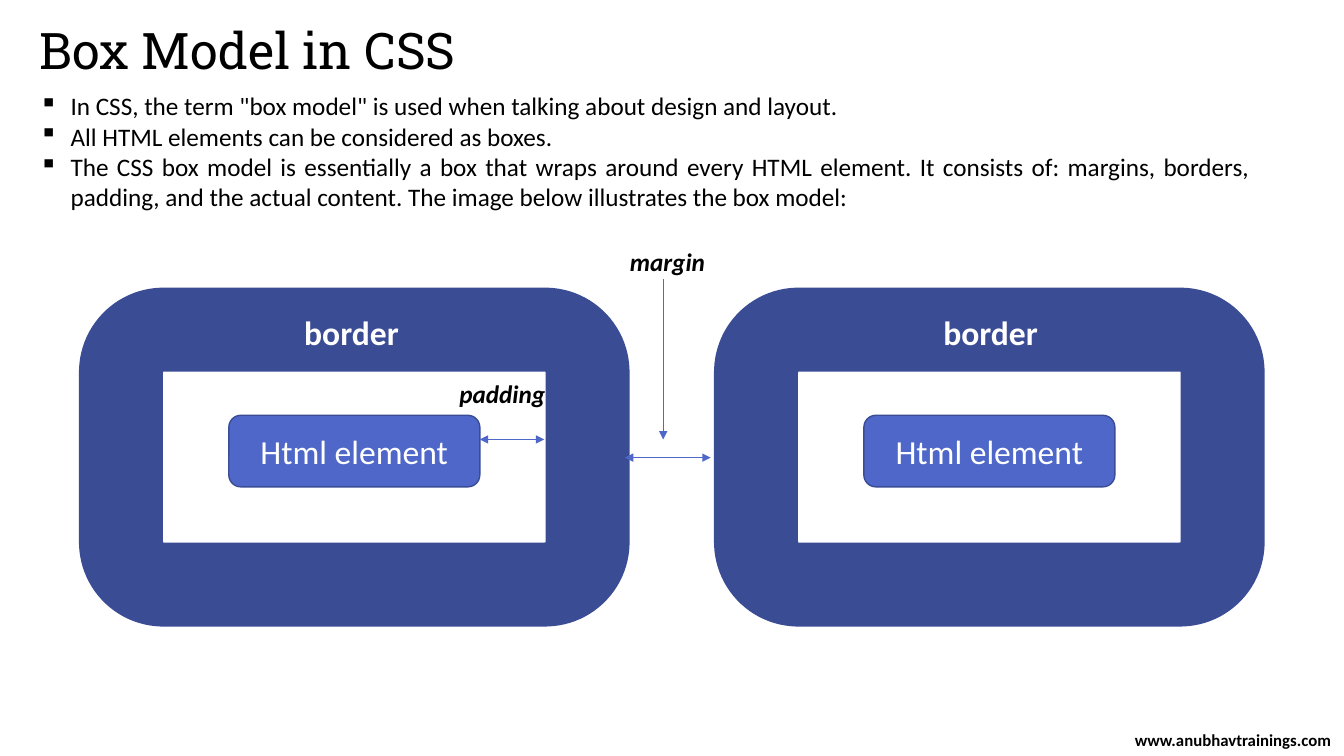
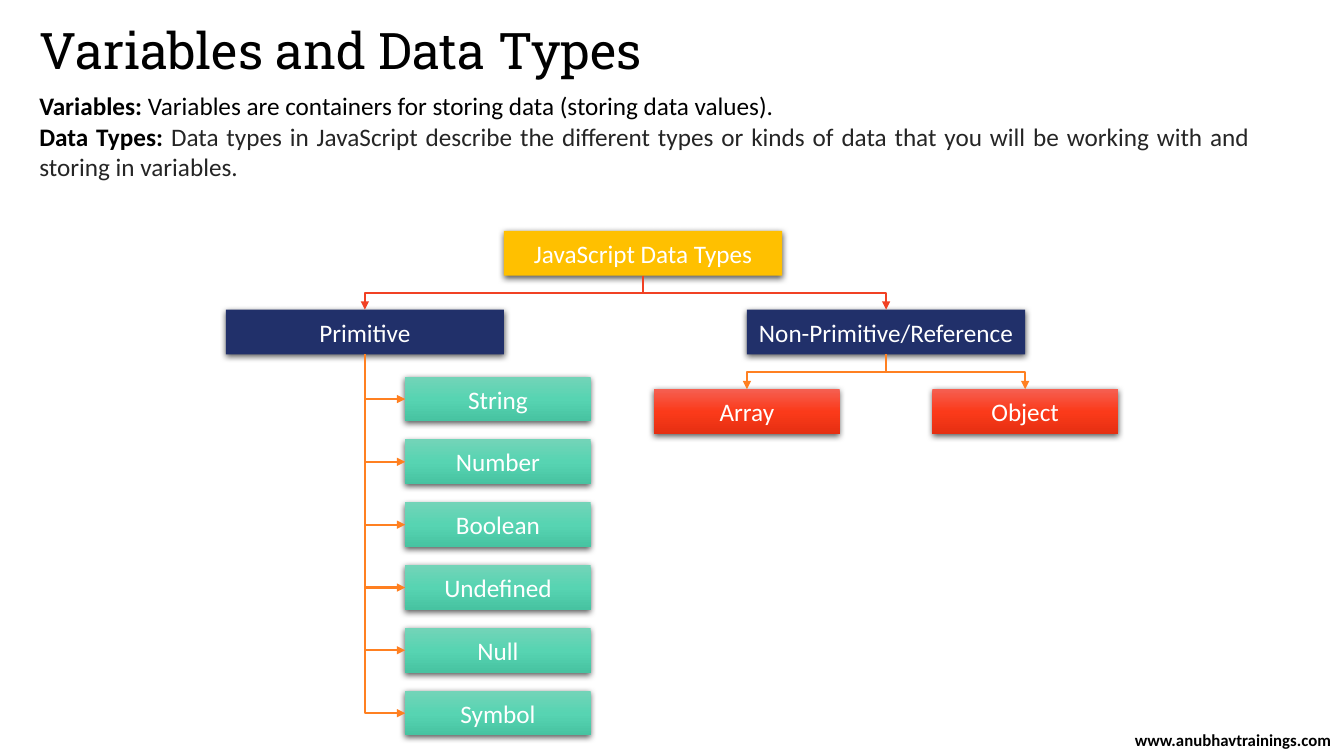
from copy import deepcopy

from lxml import etree
from pptx import Presentation, util as u
from pptx.dml.color import RGBColor
from pptx.enum import shapes, text
from pptx.oxml.ns import qn

COLUMNS, ROWS = 160, 90
CELL = u.Inches(13.33333) // COLUMNS
COLORS = {
    "ink": "000000", "soft_ink": "252525", "white": "FFFFFF",
    "element": "4E67C8", "border": "3A4C94",
    "root": "FFC000", "branch": "21306A",
    "root_link": "F14124", "leaf_link": "FF8021",
}
GRADIENTS = {
    "primitive": ("73D4B8", "57D4B2", "47C3A1"),
    "reference": ("F55F51", "FB3A1A", "E52F11"),
}
BODY_FONT, TITLE_FONT = "Calibri", "Roboto Slab"
TITLE_BOX = (3.5, 2.5, 146.5, 7.8)
BODY_BOX = (3.5, 10.2, 146.5, 15.7)
FOOTER_BOX = (133.6, 87.1, 26.4, 1.92)
NODE_WIDTH, LEAF_WIDTH, NODE_HEIGHT = 33.12, 22.08, 5.33
PRIMITIVES = ("String", "Number", "Boolean", "Undefined", "Null", "Symbol")


def cells(*lengths):
    """Turn grid cells into slide lengths."""
    return [u.Emu(round(length * CELL)) for length in lengths]


def rgb(name):
    """Look up a named colour."""
    return RGBColor.from_string(COLORS[name])


def child(parent, tag, **attributes):
    """Append an XML element with its attributes."""
    return etree.SubElement(parent, qn(tag), attributes)


def add_run(paragraph, words, size=18, color="ink", font=BODY_FONT, bold=False, italic=False):
    """Add one formatted run to a paragraph."""
    run = paragraph.add_run()
    run.text = words
    run.font.size, run.font.name = u.Pt(size), font
    run.font.bold, run.font.italic = bold, italic
    run.font.color.rgb = rgb(color)


def add_label(slide, box, words, align=None, middle=False, spacing=None, **style):
    """Place a one-paragraph text box."""
    frame = slide.shapes.add_textbox(*cells(*box)).text_frame
    frame.word_wrap = True
    frame.vertical_anchor = text.MSO_ANCHOR.MIDDLE if middle else text.MSO_ANCHOR.TOP
    paragraph = frame.paragraphs[0]
    paragraph.alignment, paragraph.line_spacing = align, spacing
    add_run(paragraph, words, **style)


def add_body(slide, paragraphs, bulleted=False):
    """Place justified paragraphs, each a list of (words, style) runs."""
    frame = slide.shapes.add_textbox(*cells(*BODY_BOX)).text_frame
    frame.word_wrap = True
    for index, runs in enumerate(paragraphs):
        paragraph = frame.add_paragraph() if index else frame.paragraphs[0]
        paragraph.alignment = text.PP_ALIGN.JUSTIFY
        if bulleted:
            properties = paragraph._p.get_or_add_pPr()
            indent = u.Inches(0.31)
            properties.set("marL", str(indent))
            properties.set("indent", str(-indent))
            child(properties, "a:buChar", char="▪")
        for words, style in runs:
            add_run(paragraph, words, **style)


def add_page(deck, title):
    """Start a slide with the shared title and footer."""
    slide = deck.slides.add_slide(deck.slide_layouts[6])
    add_label(slide, TITLE_BOX, title, spacing=0.9, size=36, font=TITLE_FONT)
    add_label(slide, FOOTER_BOX, "www.anubhavtrainings.com", text.PP_ALIGN.CENTER,
              middle=True, size=12, bold=True)
    return slide


def add_block(slide, kind, box, words="", fill=None, line=None, line_width=1, size=18):
    """Place a preset shape with centred white text."""
    block = slide.shapes.add_shape(kind, *cells(*box))
    block.shadow.inherit = False
    if fill:
        block.fill.solid()
        block.fill.fore_color.rgb = rgb(fill)
    else:
        block.fill.background()
    if line:
        block.line.color.rgb = rgb(line)
        block.line.width = u.Pt(line_width)
    else:
        block.line.fill.background()
    if words:
        frame = block.text_frame
        frame.word_wrap = False
        frame.vertical_anchor = text.MSO_ANCHOR.MIDDLE
        frame.paragraphs[0].alignment = text.PP_ALIGN.CENTER
        add_run(frame.paragraphs[0], words, size, "white")
    return block


def style_link(link, color, width, both_ends=False):
    """Colour a connector and give it arrowheads."""
    link.line.color.rgb = rgb(color)
    link.line.width = u.Pt(width)
    outline = link._element.spPr.find(qn("a:ln"))
    if both_ends:
        child(outline, "a:headEnd", type="triangle")
    child(outline, "a:tailEnd", type="triangle")
    child(link._element.spPr, "a:effectLst")


def add_arrow(slide, start, end, both_ends=False):
    """Draw a thin straight arrow."""
    arrow = slide.shapes.add_connector(shapes.MSO_CONNECTOR.STRAIGHT, *cells(*start, *end))
    style_link(arrow, "element", 0.5, both_ends)


def add_box_model(slide, left, top, label_offset):
    """Draw an element inside its border, relative to the border's corner."""
    rounded = shapes.MSO_SHAPE.ROUNDED_RECTANGLE
    add_block(slide, rounded, (left + 12.84, top + 10.2, 29.88, 8.52), "Html element",
              fill="element", line="border", size=24)
    add_block(slide, rounded, (left, top, 55.56, 30.36), line="border", line_width=60)
    add_label(slide, (left + label_offset, top - 2.64, 18.84, 5), "border",
              size=24, color="white", bold=True)


def add_node(slide, box, words, fill=None, gradient=None):
    """Place a tree node with a soft shadow."""
    node = add_block(slide, shapes.MSO_SHAPE.RECTANGLE, box, words, fill)
    if gradient:
        node.fill.gradient()
        node.fill.gradient_angle = 270
        stop_list = node._element.spPr.find(".//" + qn("a:gsLst"))
        stop_list.append(deepcopy(stop_list[-1]))
        stops = zip(node.fill.gradient_stops, (0, 0.5, 1), GRADIENTS[gradient])
        for stop, position, color in stops:
            stop.position = position
            stop.color.rgb = RGBColor.from_string(color)
    effects = node._element.spPr.find(qn("a:effectLst"))
    shadow = child(effects, "a:outerShdw", blurRad=str(u.Pt(4.5)), dist=str(u.Pt(1.5)),
                   dir="5400000", algn="ctr", rotWithShape="0")
    child(child(shadow, "a:srgbClr", val=COLORS["ink"]), "a:alpha", val="63000")
    return node


def add_bend(slide, parent, node, color, side_entry=False):
    """Link a parent's bottom to a node's top or left side, leaving downwards."""
    bend = slide.shapes.add_connector(shapes.MSO_CONNECTOR.ELBOW, 0, 0, 0, 0)
    bend.begin_connect(parent, 2)
    bend.end_connect(node, 1 if side_entry else 0)
    across, down = bend.end_x - bend.begin_x, bend.end_y - bend.begin_y
    middle_x, middle_y = bend.begin_x + across // 2, bend.begin_y + down // 2
    bend.width, bend.height = down, abs(across)
    bend.left, bend.top = middle_x - down // 2, middle_y - abs(across) // 2
    frame = bend._element.spPr.find(qn("a:xfrm"))
    for flip in ("flipH", "flipV"):
        frame.attrib.pop(flip, None)
    frame.set("rot", "16200000" if across > 0 else "5400000")
    if across > 0:
        frame.set("flipH", "1")
    if side_entry:
        bend._element.spPr.find(qn("a:prstGeom")).set("prst", "bentConnector2")
    style_link(bend, color, 1.5)


def add_type_tree(slide, left, top):
    """Draw the tree of data types from its top left corner."""
    def node(x, y, width, *content, **look):
        """Place a node relative to the tree."""
        return add_node(slide, (left + x, top + y, width, NODE_HEIGHT), *content, **look)

    reference_left = 62.04
    root = node(NODE_WIDTH, 0, NODE_WIDTH, "JavaScript Data Types", fill="root")
    primitive = node(0, 9.36, NODE_WIDTH, "Primitive", fill="branch")
    reference = node(reference_left, 9.36, NODE_WIDTH, "Non-Primitive/Reference", fill="branch")
    for branch in (primitive, reference):
        add_bend(slide, root, branch, "root_link")
    for row, words in enumerate(PRIMITIVES):
        leaf = node(21.36, 17.34 + row * 7.48, LEAF_WIDTH, words, gradient="primitive")
        add_bend(slide, primitive, leaf, "leaf_link", side_entry=True)
    for column, words in enumerate(("Array", "Object")):
        leaf_left = reference_left - LEAF_WIDTH / 2 + column * NODE_WIDTH
        leaf = node(leaf_left, 18.84, LEAF_WIDTH, words, gradient="reference")
        add_bend(slide, reference, leaf, "leaf_link")


def build_box_model_slide(deck):
    """Build the slide on the box model."""
    slide = add_page(deck, "Box Model in CSS")
    points = (
        'In CSS, the term "box model" is used when talking about design and layout.',
        "All HTML elements can be considered as boxes.",
        "The CSS box model is essentially a box that wraps around every HTML element. "
        "It consists of: margins, borders, padding, and the actual content. "
        "The image below illustrates the box model:",
    )
    add_body(slide, [[(point, {})] for point in points], bulleted=True)
    for left, label_offset in ((14.4, 20.64), (90, 21.12)):
        add_box_model(slide, left, 39.24, label_offset)
    for words, x, y in (("padding", 53.5, 44.5), ("margin", 73.8, 28.7)):
        add_label(slide, (x, y, 16.2, 4), words, bold=True, italic=True)
    add_arrow(slide, (57.12, 52.32), (64.8, 52.32), both_ends=True)
    add_arrow(slide, (78.96, 33.24), (78.96, 52.32))
    add_arrow(slide, (74.4, 54.48), (84.6, 54.48), both_ends=True)


def build_data_types_slide(deck):
    """Build the slide on variables and data types."""
    slide = add_page(deck, "Variables and Data Types")
    add_body(slide, [
        [("Variables: ", {"bold": True}),
         ("Variables are containers for storing data (storing data values).", {})],
        [("Data Types: ", {"bold": True}),
         ("Data types in JavaScript describe the different types or kinds of data that "
          "you will be working with and storing in variables.", {"color": "soft_ink"})],
    ])
    add_type_tree(slide, 26.88, 27.5)


def main():
    """Build and save the deck."""
    deck = Presentation()
    deck.slide_width, deck.slide_height = cells(COLUMNS, ROWS)
    build_box_model_slide(deck)
    build_data_types_slide(deck)
    deck.save("out.pptx")


if __name__ == "__main__":
    main()
